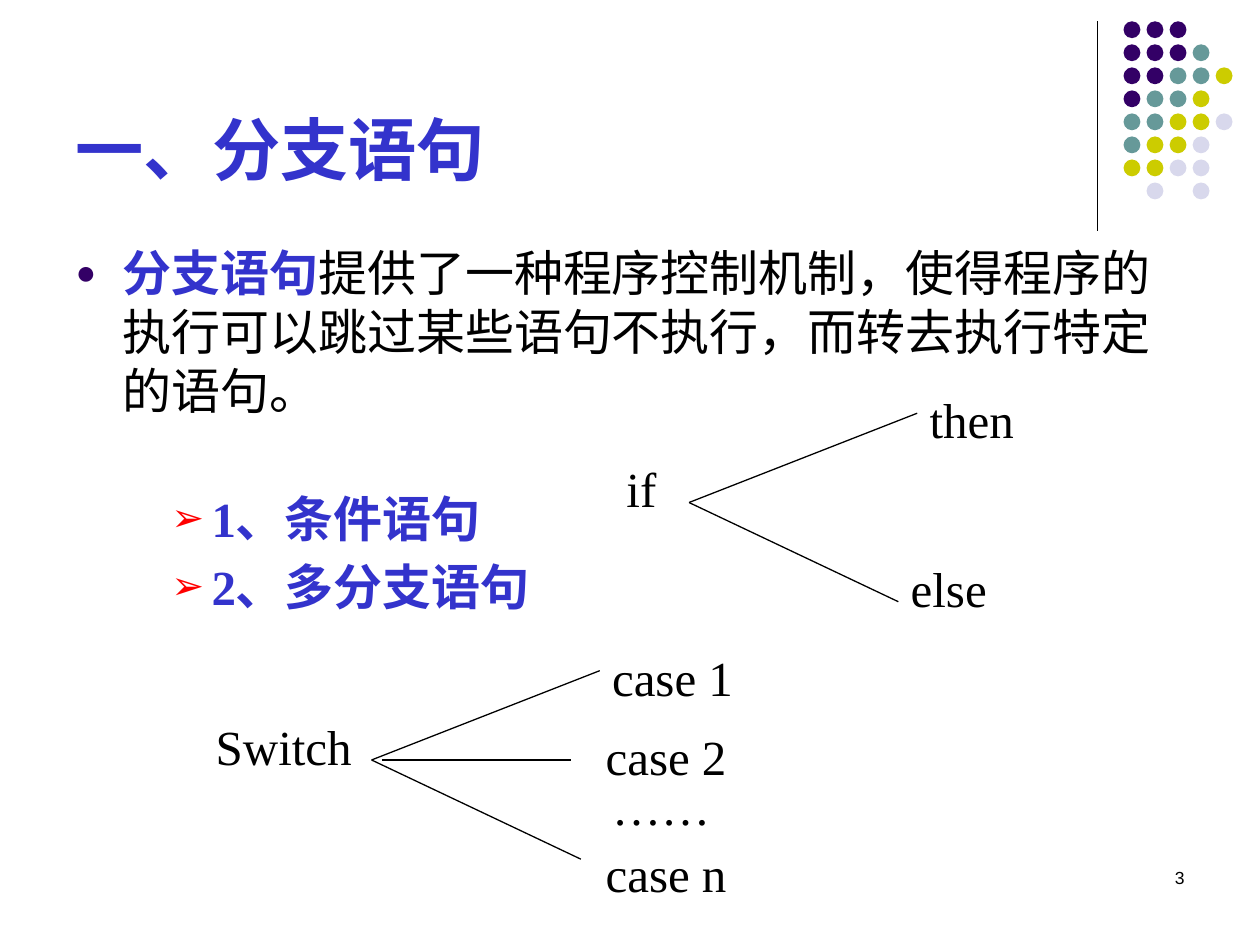
import lxml.etree
import pptx
import pptx.dml.color
import pptx.enum.shapes
import pptx.enum.text
import pptx.oxml.ns
import pptx.util

Cm = pptx.util.Cm
Pt = pptx.util.Pt
qn = pptx.oxml.ns.qn

COLORS = {
    "ink": "000000",
    "heading": "3333CC",
    "purple": "330066",
    "teal": "669999",
    "olive": "CCCC00",
    "mist": "D8D8EC",
    "arrow": "FF0000",
}
DOT_COLORS = {"P": "purple", "T": "teal", "O": "olive", "M": "mist"}
DOT_ROWS = ["PPP", "PPPT", "PPTTO", "PTTO", "TTOOM", "TOOM", "OOMM", " M M"]


class BranchSlide:
    """Draws the elements of one slide in a shared style."""

    def __init__(self, slide):
        self.slide = slide
        self.sans = "Arial"
        self.serif = "Times New Roman"
        self.size = 28

    def color(self, name):
        return pptx.dml.color.RGBColor.from_string(COLORS[name])

    def run(self, paragraph, words, font, size, color="ink", bold=False):
        run = paragraph.add_run()
        run.text = words
        run.font.name = font
        run.font.size = Pt(size)
        run.font.bold = bold
        run.font.color.rgb = self.color(color)

    def placeholder(self, holder, left, top, width, height, anchor):
        holder.left, holder.top = Cm(left), Cm(top)
        holder.width, holder.height = Cm(width), Cm(height)
        frame = holder.text_frame
        frame.word_wrap = True
        frame.auto_size = pptx.enum.text.MSO_AUTO_SIZE.NONE
        frame.vertical_anchor = anchor
        return frame

    def title(self, words):
        frame = self.placeholder(self.slide.shapes.title, 1.27, 0.35, 20.96, 3.6,
                                 pptx.enum.text.MSO_ANCHOR.BOTTOM)
        heading = frame.paragraphs[0]
        heading.alignment = pptx.enum.text.PP_ALIGN.LEFT
        self.run(heading, words, self.sans, 39, "heading", True)

    def body(self):
        return self.placeholder(self.slide.placeholders[1], 1.27, 4.77, 22.86, 12.24,
                                pptx.enum.text.MSO_ANCHOR.TOP)

    def bullet(self, paragraph, symbol, color, percent, margin, hanging):
        properties = paragraph._p.get_or_add_pPr()
        properties.set("marL", str(Cm(margin)))
        properties.set("indent", str(-Cm(hanging)))
        tint = lxml.etree.SubElement(properties, qn("a:buClr"))
        lxml.etree.SubElement(tint, qn("a:srgbClr"), val=COLORS[color])
        lxml.etree.SubElement(properties, qn("a:buSzPct"), val=str(percent * 1000))
        lxml.etree.SubElement(properties, qn("a:buFont"), typeface=self.sans)
        lxml.etree.SubElement(properties, qn("a:buChar"), char=symbol)

    def topic(self, frame, words, space_before):
        paragraph = frame.add_paragraph()
        paragraph.level = 1
        paragraph.space_before = Pt(space_before)
        self.bullet(paragraph, "➢", "arrow", 80, 2.74, 0.81)
        self.run(paragraph, words, self.serif, self.size, "heading", True)

    def label(self, words, left, top, width, height=1.44, font=None, size=None, align="LEFT"):
        box = self.slide.shapes.add_textbox(Cm(left), Cm(top), Cm(width), Cm(height))
        box.text_frame.word_wrap = False
        paragraph = box.text_frame.paragraphs[0]
        paragraph.alignment = pptx.enum.text.PP_ALIGN[align]
        self.run(paragraph, words, font or self.serif, size or self.size)

    def line(self, start, end):
        connector = self.slide.shapes.add_connector(
            pptx.enum.shapes.MSO_CONNECTOR.STRAIGHT,
            Cm(start[0]), Cm(start[1]), Cm(end[0]), Cm(end[1]))
        connector.line.color.rgb = self.color("ink")
        connector.line.width = Pt(0.75)
        lxml.etree.SubElement(connector._element.spPr, qn("a:effectLst"))

    def fork(self, x, y):
        self.line((x, y), (x + 4.6, y - 1.8))
        self.line((x, y), (x + 4.22, y + 2))

    def dot(self, left, top, color):
        dot = self.slide.shapes.add_shape(
            pptx.enum.shapes.MSO_SHAPE.OVAL, Cm(left), Cm(top), Cm(0.34), Cm(0.34))
        dot.shadow.inherit = False
        dot.fill.solid()
        dot.fill.fore_color.rgb = self.color(color)
        dot.line.fill.background()

    def dot_pattern(self, left, top):
        pitch = 3.25 / (len(DOT_ROWS) - 1)
        for row, codes in enumerate(DOT_ROWS):
            for column, code in enumerate(codes):
                if code in DOT_COLORS:
                    self.dot(left + column * pitch, top + row * pitch, DOT_COLORS[code])


def main():
    deck = pptx.Presentation()
    deck.slide_width, deck.slide_height = Cm(25.4), Cm(19.05)
    page = BranchSlide(deck.slides.add_slide(deck.slide_layouts[1]))

    page.line((22.12, 0.43), (22.12, 4.65))
    page.dot_pattern(22.65, 0.43)
    page.label("3", 18.21, 17.35, 5.92, 1.27, page.sans, 10, "RIGHT")
    page.title("一、分支语句")

    body = page.body()
    definition = body.paragraphs[0]
    definition.space_before = Pt(0)
    page.bullet(definition, "●", "purple", 70, 0.95, 0.95)
    page.run(definition, "分支语句", page.sans, page.size, "heading", True)
    page.run(definition, "提供了一种程序控制机制，使得程序的执行可以跳过某些语句不执行，而转去执行特定的语句。",
             page.sans, page.size)
    page.topic(body, "1、条件语句", 39.5)
    page.topic(body, "2、多分支语句", 5)

    page.fork(13.89, 10.13)
    page.fork(7.49, 15.32)
    page.line((7.7, 15.32), (11.51, 15.32))

    for words, left, top, width in [
        ("if", 12.38, 9.12, 1.3),
        ("then", 18.49, 7.72, 2.4),
        ("else", 18.11, 11.13, 2.3),
        ("Switch", 4.1, 14.32, 3.4),
        ("case 1", 12.09, 12.93, 3.1),
        ("case 2", 11.96, 14.53, 3.1),
        ("……", 12.09, 15.52, 3.1),
        ("case n", 11.96, 16.88, 3.1),
    ]:
        page.label(words, left, top, width)

    deck.save("out.pptx")


if __name__ == "__main__":
    main()
